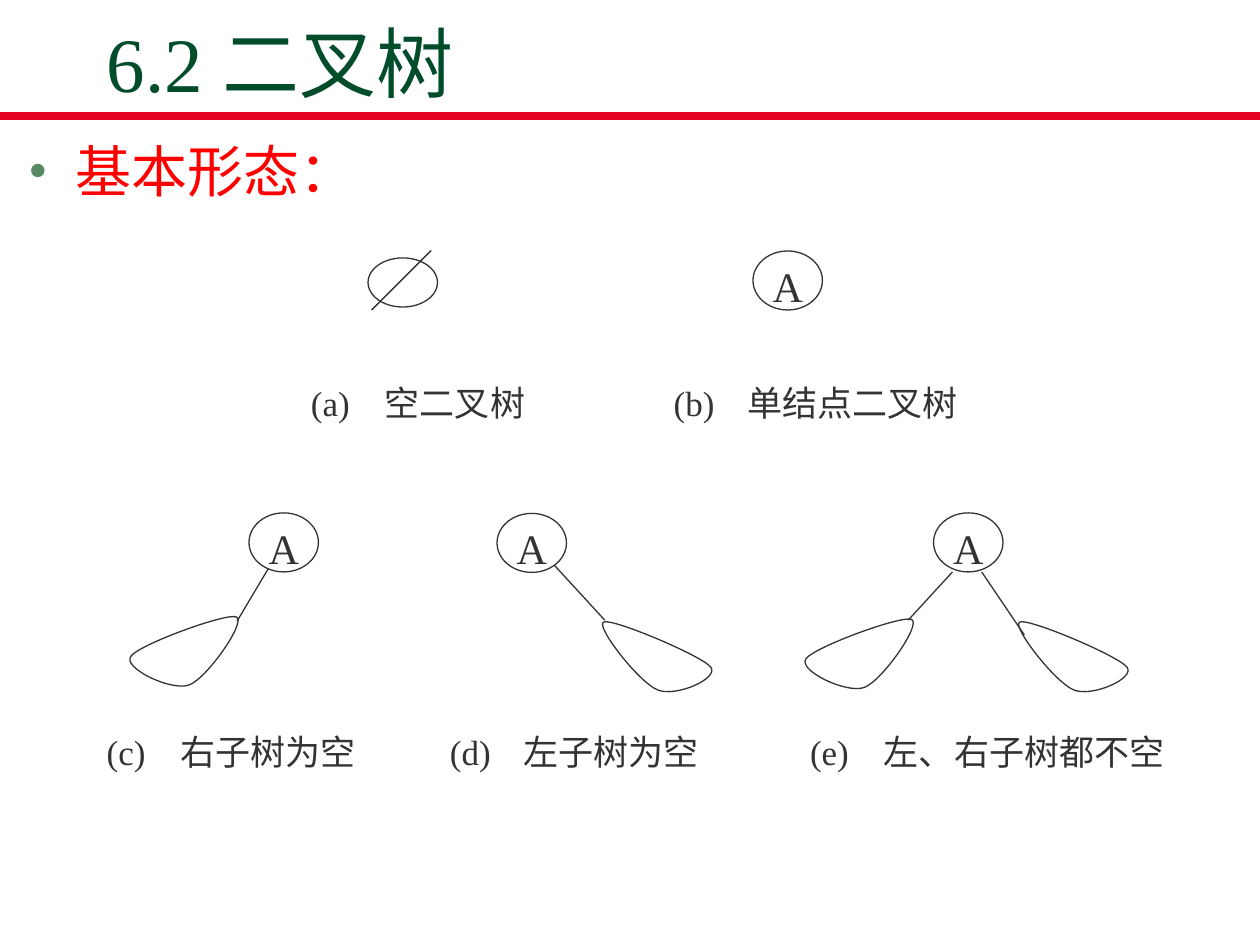
from pptx import Presentation
from pptx.dml.color import RGBColor
from pptx.enum import shapes, text
from pptx.oxml.ns import qn
from pptx.util import Cm, Pt
from lxml import etree

HUES = {"ink": "333333", "rule": "E60223", "title": "004C2B",
        "head": "FF0000", "dot": "578963"}
FACE = "Times New Roman"
NODE = (1.4, 1.19)
TAB = 1.49

LEAVES = {
    "left": [(0.18, 0.89),
             (0, 1.12), (0.99, 1.6), (1.35, 1.47),
             (1.7, 1.35), (2.51, 0.2), (2.31, 0.1),
             (2.13, 0), (0.33, 0.66), (0.18, 0.89)],
    "right": [(0.18, 0.08),
              (0, 0.15), (0.89, 1.3), (1.27, 1.45),
              (1.63, 1.6), (2.51, 1.22), (2.34, 0.99),
              (2.16, 0.76), (0.36, 0), (0.18, 0.08)],
}

TREES = [
    {"mark": "(a)", "name": "空二叉树", "label": (6.02, 7.54, 4.7),
     "empty": (7.42, 5.2, 1.4, 0.99), "lines": [(8.69, 5.05, 7.49, 6.25)]},
    {"mark": "(b)", "name": "单结点二叉树", "label": (13.33, 7.54, 6.2),
     "node": (15.18, 5.06)},
    {"mark": "(c)", "name": "右子树为空", "label": (1.9, 14.58, 5.4),
     "node": (5.02, 10.34), "lines": [(5.41, 11.46, 4.78, 12.52)],
     "leaves": [("left", 2.46, 12.34)]},
    {"mark": "(d)", "name": "左子树为空", "label": (8.82, 14.58, 5.4),
     "node": (10.02, 10.35), "lines": [(11.18, 11.4, 12.19, 12.5)],
     "leaves": [("right", 11.99, 12.46)]},
    {"mark": "(e)", "name": "左、右子树都不空", "label": (16.08, 14.58, 7.5),
     "node": (18.82, 10.34),
     "lines": [(19.2, 11.53, 18.31, 12.5), (19.79, 11.53, 20.65, 12.8)],
     "leaves": [("right", 20.38, 12.46), ("left", 16.07, 12.39)]},
]


def cms(*vals):
    return [Cm(v) for v in vals]


def tint(name):
    return RGBColor.from_string(HUES[name])


def write(shape, words, size, hue, frame, para):
    body = shape.text_frame
    for key, val in frame.items():
        setattr(body, key, val)
    line = body.paragraphs[0]
    for key, val in para.items():
        setattr(line, key, val)
    run = line.add_run()
    run.text = words
    for key, val in {"size": Pt(size), "name": FACE}.items():
        setattr(run.font, key, val)
    run.font.color.rgb = tint(hue)


def props(shape):
    return shape.text_frame.paragraphs[0]._p.get_or_add_pPr()


def outline(shape):
    shape.shadow.inherit = False
    shape.fill.background()
    shape.line.color.rgb = tint("ink")
    shape.line.width = Pt(0.75)


def link(home, ends, hue="ink", width=0.75):
    line = home.add_connector(shapes.MSO_CONNECTOR.STRAIGHT, *cms(*ends))
    line.line.color.rgb = tint(hue)
    line.line.width = Pt(width)
    etree.SubElement(line._element.spPr, qn("a:effectLst"))


def oval(home, box):
    shape = home.add_shape(shapes.MSO_SHAPE.OVAL, *cms(*box))
    outline(shape)
    return shape


def bend(shape):
    segs = list(shape._element.iter(qn("a:lnTo")))
    for i in range(0, len(segs), 3):
        arc = etree.Element(qn("a:cubicBezTo"))
        segs[i].addprevious(arc)
        for seg in segs[i:i + 3]:
            arc.append(seg[0])
            seg.getparent().remove(seg)


def leaf(home, side, left, top):
    spots = [cms(left + x, top + y) for x, y in LEAVES[side]]
    pen = home.build_freeform(*spots[0])
    pen.add_line_segments(spots[1:], close=True)
    shape = pen.convert_to_shape()
    bend(shape)
    outline(shape)


def draw(home, tree):
    mid = {"word_wrap": False, "vertical_anchor": text.MSO_ANCHOR.MIDDLE}
    if "empty" in tree:
        oval(home, tree["empty"])
    if "node" in tree:
        write(oval(home, tree["node"] + NODE), "A", 24, "ink", mid,
              {"alignment": text.PP_ALIGN.CENTER, "line_spacing": 1.2})
    for ends in tree.get("lines", []):
        link(home, ends)
    for item in tree.get("leaves", []):
        leaf(home, *item)
    label = home.add_textbox(*cms(*tree["label"], 0.99))
    tabs = etree.SubElement(props(label), qn("a:tabLst"))
    etree.SubElement(tabs, qn("a:tab"), pos=str(Cm(TAB)), algn="l")
    write(label, tree["mark"] + "\t" + tree["name"], 20, "ink",
          {**mid, "word_wrap": True, "margin_right": 0},
          {"alignment": text.PP_ALIGN.LEFT, "line_spacing": 1.2})


def main():
    deck = Presentation()
    deck.slide_width, deck.slide_height = cms(25.4, 19.05)
    slide = deck.slides.add_slide(deck.slide_layouts[5])
    link(slide.shapes, (0, 2.33, 25.4, 2.33), "rule", 4.5)

    title = slide.shapes.title
    spots = cms(1.9, 0.66, 21.59, 1.65)
    for key, val in zip(("left", "top", "width", "height"), spots):
        setattr(title, key, val)
    write(title, "6.2 二叉树", 44, "title",
          {"vertical_anchor": text.MSO_ANCHOR.BOTTOM},
          {"alignment": text.PP_ALIGN.LEFT})

    head = slide.shapes.add_textbox(*cms(0.32, 2.36, 24.77, 1.75))
    form = props(head)
    form.set("marL", str(Cm(0.96)))
    form.set("indent", str(-Cm(0.96)))
    color = etree.SubElement(form, qn("a:buClr"))
    etree.SubElement(color, qn("a:srgbClr"), val=HUES["dot"])
    etree.SubElement(form, qn("a:buFont"), typeface=FACE)
    etree.SubElement(form, qn("a:buChar"), char="•")
    write(head, "基本形态：", 32, "head", {"word_wrap": True},
          {"line_spacing": 1.2})

    for tree in TREES:
        draw(slide.shapes.add_group_shape().shapes, tree)
    deck.save("out.pptx")


if __name__ == "__main__":
    main()
